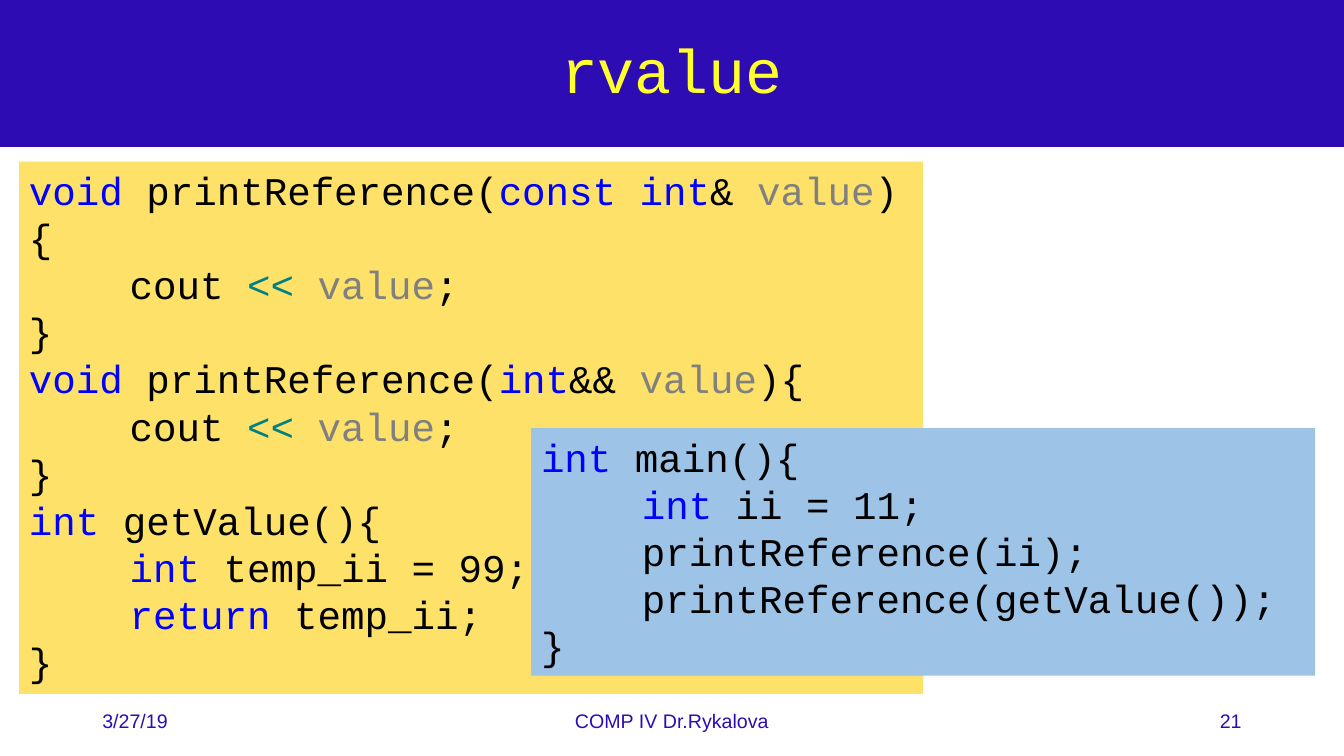
from collections import namedtuple
from dataclasses import dataclass, field

from lxml.etree import SubElement
from pptx import Presentation
from pptx.dml.color import RGBColor
from pptx.enum.shapes import MSO_SHAPE as Preset
from pptx.enum.text import MSO_ANCHOR as Anchor, MSO_AUTO_SIZE as AutoSize, PP_ALIGN as Align
from pptx.oxml.ns import qn
from pptx.util import Pt

Box = namedtuple("Box", "left top width height")


@dataclass(frozen=True)
class Theme:
    """Colours, fonts and type sizes of the slide."""
    indigo: str = "2D0DB3"
    title_text: str = "FFFF2D"
    yellow_panel: str = "FDE169"
    blue_panel: str = "9DC3E6"
    code_text: str = "000000"
    code_font: str = "Courier New"
    footer_font: str = "Arial"
    title_size: int = 44
    code_size: int = 28
    footer_size: int = 14
    code_indent: int = 72
    syntax: dict = field(default_factory=lambda: {
        **dict.fromkeys(("void", "int", "const int", "return"), "0000FF"),
        "value": "808080",
        "<<": "008080",
    })


THEME = Theme()

FUNCTIONS_CODE = """\
void |printReference(|const int|& |value|){
\tcout |<< |value|;
}
void |printReference(|int|&& |value|){
\tcout |<< |value|;
}
int |getValue(){
\tint |temp_ii = 99;
\treturn |temp_ii;
}"""

MAIN_CODE = """\
int| main(){
\tint| ii = 11;
\tprintReference(ii);
\tprintReference(getValue());
}"""


def in_points(box):
    """Return the four lengths of a box in points."""
    return [Pt(length) for length in box]


def style_font(font, name, size, color):
    """Set the typeface, size and colour of a font."""
    font.name, font.size = name, Pt(size)
    font.color.rgb = RGBColor.from_string(color)


def fill_solid(shape, color):
    """Fill a shape with one colour."""
    shape.fill.solid()
    shape.fill.fore_color.rgb = RGBColor.from_string(color)


def add_tab_stop(para, position):
    """Give a paragraph one left tab stop."""
    stops = SubElement(para._p.get_or_add_pPr(), qn("a:tabLst"))
    SubElement(stops, qn("a:tab"), pos=str(Pt(position)), algn="l")


def add_title(page, box, text):
    """Draw the title band with its centred heading."""
    band = page.shapes.add_shape(Preset.RECTANGLE, *in_points(box))
    band.shadow.inherit = False
    band.line.fill.background()
    fill_solid(band, THEME.indigo)
    frame = band.text_frame
    frame.text = text
    frame.vertical_anchor = Anchor.MIDDLE
    para = frame.paragraphs[0]
    para.alignment, para.line_spacing = Align.CENTER, 0.9
    style_font(para.runs[0].font, THEME.code_font, THEME.title_size, THEME.title_text)


def add_footer(page, box, date, course, number):
    """Place date, course and page number across the footer box."""
    side, middle = 216, 324
    parts = (
        (date, box.left, side, Align.LEFT),
        (course, box.left + (box.width - middle) / 2, middle, Align.CENTER),
        (number, box.left + box.width - side, side, Align.RIGHT),
    )
    for text, left, width, alignment in parts:
        label = page.shapes.add_textbox(*in_points(Box(left, box.top, width, box.height)))
        frame = label.text_frame
        frame.text = text
        frame.word_wrap = True
        frame.vertical_anchor = Anchor.MIDDLE
        para = frame.paragraphs[0]
        para.alignment = alignment
        style_font(para.runs[0].font, THEME.footer_font, THEME.footer_size, THEME.indigo)


def add_code(page, box, color, code):
    """Draw a code panel, colouring each piece between bars by its syntax."""
    panel = page.shapes.add_textbox(*in_points(box))
    fill_solid(panel, color)
    frame = panel.text_frame
    frame.text = code.replace("|", "")
    frame.word_wrap = True
    frame.auto_size = AutoSize.SHAPE_TO_FIT_TEXT
    for para, line in zip(frame.paragraphs, code.splitlines()):
        para.clear()
        add_tab_stop(para, THEME.code_indent)
        for piece in line.split("|"):
            span = para.add_run()
            span.text = piece
            ink = THEME.syntax.get(piece.strip(), THEME.code_text)
            style_font(span.font, THEME.code_font, THEME.code_size, ink)


def main():
    """Build the slide and save the deck."""
    deck = Presentation()
    deck.slide_width, deck.slide_height = Pt(960), Pt(540)
    page = deck.slides.add_slide(deck.slide_layouts[6])
    add_title(page, Box(0, 0, 960, 105), "rvalue")
    add_footer(page, Box(66, 500.5, 828, 28.75), "3/27/19", "COMP IV Dr.Rykalova", "21")
    add_code(page, Box(13.6, 115.4, 645.8, 380.3), THEME.yellow_panel, FUNCTIONS_CODE)
    add_code(page, Box(379.4, 305.8, 560, 176.8), THEME.blue_panel, MAIN_CODE)
    deck.save("out.pptx")


if __name__ == "__main__":
    main()
